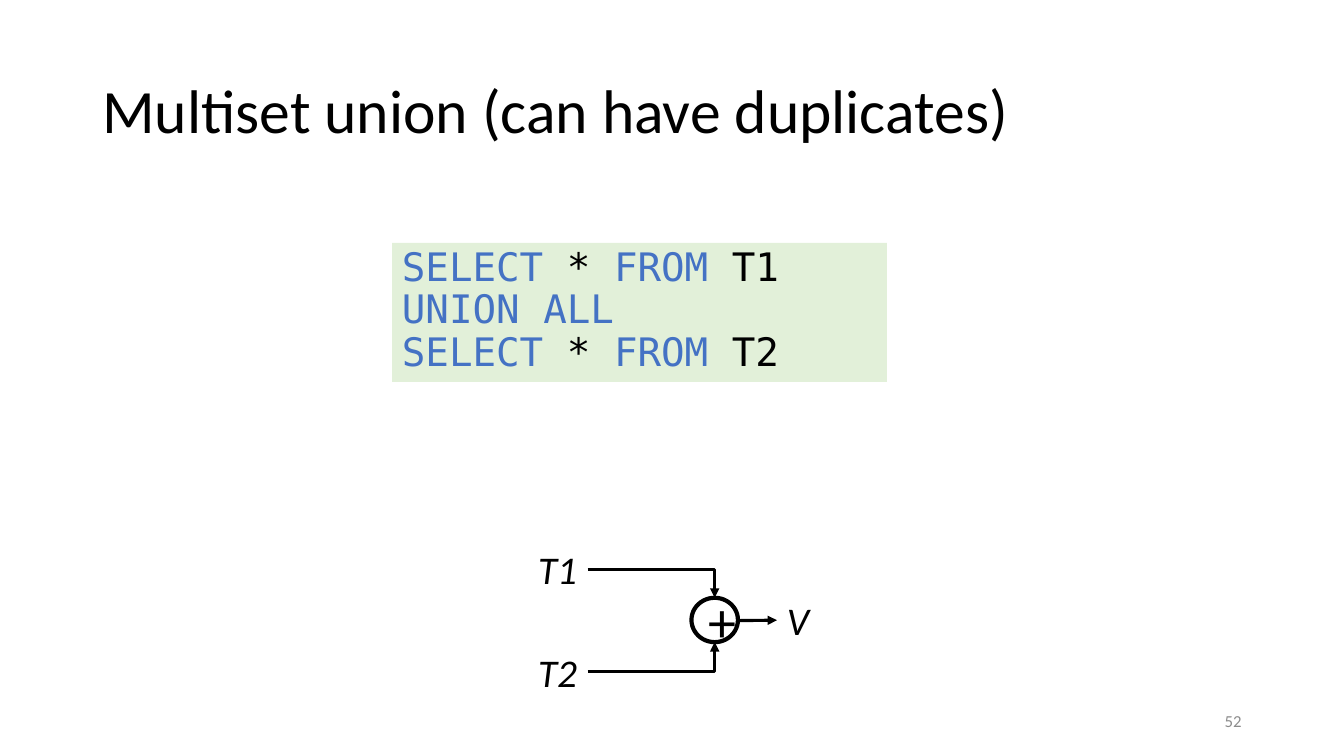
from lxml import etree
from pptx import Presentation
from pptx.dml.color import RGBColor
from pptx.enum.shapes import MSO_CONNECTOR, MSO_SHAPE
from pptx.enum.text import MSO_ANCHOR, PP_ALIGN
from pptx.oxml.ns import qn
from pptx.util import Pt

BLACK = RGBColor(0x00, 0x00, 0x00)
WHITE = RGBColor(0xFF, 0xFF, 0xFF)
GREY = RGBColor(0x8C, 0x8C, 0x8C)
KEYWORD_BLUE = RGBColor(0x44, 0x72, 0xC4)
CODE_GREEN = RGBColor(0xE2, 0xF0, 0xD9)
BODY_FONT = "Calibri"
CODE_FONT = "DejaVu Sans Mono"
STRAIGHT, ELBOW = MSO_CONNECTOR.STRAIGHT, MSO_CONNECTOR.ELBOW
OVAL, RECTANGLE = MSO_SHAPE.OVAL, MSO_SHAPE.RECTANGLE
TOP, MIDDLE = MSO_ANCHOR.TOP, MSO_ANCHOR.MIDDLE
LEFT, CENTER, RIGHT = PP_ALIGN.LEFT, PP_ALIGN.CENTER, PP_ALIGN.RIGHT

QUERY = [
    [("SELECT", KEYWORD_BLUE), (" * ", BLACK), ("FROM", KEYWORD_BLUE), (" T1", BLACK)],
    [("UNION ALL", KEYWORD_BLUE)],
    [("SELECT", KEYWORD_BLUE), (" * ", BLACK), ("FROM", KEYWORD_BLUE), (" T2", BLACK)],
]
INPUT_LEFT, INPUT_RIGHT = 377.3, 419.8
SUM_LEFT, SUM_TOP, SUM_WIDTH, SUM_HEIGHT = 493.9, 427, 33.2, 31.7
SUM_X = SUM_LEFT + SUM_WIDTH / 2


def add_run(paragraph, text, size, color, font=BODY_FONT, italic=False):
    """Append one formatted run to a paragraph."""
    run = paragraph.add_run()
    run.text = text
    run.font.name = font
    run.font.size = Pt(size)
    run.font.italic = italic
    run.font.color.rgb = color


def add_label(slide, text, box, size, color=BLACK, anchor=TOP, align=LEFT,
              wrap=True, italic=False, spacing=1.0):
    """Add a text box holding a single run."""
    frame = slide.shapes.add_textbox(*map(Pt, box)).text_frame
    frame.word_wrap = wrap
    frame.vertical_anchor = anchor
    paragraph = frame.paragraphs[0]
    paragraph.alignment = align
    paragraph.line_spacing = spacing
    add_run(paragraph, text, size, color, italic=italic)


def add_filled_shape(slide, kind, box, fill):
    """Add a borderless preset shape without shadow."""
    shape = slide.shapes.add_shape(kind, *map(Pt, box))
    shape.shadow.inherit = False
    shape.fill.solid()
    shape.fill.fore_color.rgb = fill
    shape.line.fill.background()
    return shape


def add_query(slide, box, lines):
    """Add the SQL panel with coloured keywords."""
    frame = add_filled_shape(slide, RECTANGLE, box, CODE_GREEN).text_frame
    frame.word_wrap = True
    frame.vertical_anchor = TOP
    paragraph = frame.paragraphs[0]
    paragraph.alignment = LEFT
    paragraph.line_spacing = 0.9
    for index, line in enumerate(lines):
        if index:
            paragraph.add_line_break()
        for text, color in line:
            add_run(paragraph, text, 28, color, CODE_FONT)


def add_sum_node(slide):
    """Add the circled plus that joins both inputs."""
    node = add_filled_shape(slide, OVAL, (SUM_LEFT, SUM_TOP, SUM_WIDTH, SUM_HEIGHT), WHITE)
    node.line.color.rgb = BLACK
    node.line.width = Pt(3)
    node.text_frame.vertical_anchor = MIDDLE
    paragraph = node.text_frame.paragraphs[0]
    paragraph.alignment = CENTER
    add_run(paragraph, "+", 40, BLACK)


def add_arrow(slide, kind, start, end):
    """Add a straight or single-bend arrow from start to end."""
    arrow = slide.shapes.add_connector(kind, *map(Pt, start + end))
    arrow.line.color.rgb = BLACK
    arrow.line.width = Pt(2.25)
    properties = arrow._element.spPr
    if kind == ELBOW:
        properties.find(qn("a:prstGeom")).set("prst", "bentConnector2")
    etree.SubElement(properties.find(qn("a:ln")), qn("a:tailEnd"), type="triangle")
    etree.SubElement(properties, qn("a:effectLst"))


def add_input(slide, name, label_top, line_y, node_y):
    """Add an input relation and its bent arrow into the sum node."""
    box = (INPUT_LEFT, label_top, INPUT_RIGHT - INPUT_LEFT, 41)
    add_label(slide, name, box, 28, wrap=False, italic=True)
    add_arrow(slide, ELBOW, (INPUT_RIGHT, line_y), (SUM_X, node_y))


def main():
    """Build and save the multiset union slide."""
    presentation = Presentation()
    presentation.slide_width, presentation.slide_height = Pt(960), Pt(540)
    slide = presentation.slides.add_slide(presentation.slide_layouts[6])

    add_label(slide, "Multiset union (can have duplicates)", (66, 28.8, 828, 104.4), 44,
              anchor=MIDDLE, spacing=0.9)
    add_query(slide, (280, 173.4, 353.5, 99.4), QUERY)
    add_label(slide, "52", (863.3, 500.5, 30.7, 28.8), 12, GREY, MIDDLE, RIGHT)

    add_sum_node(slide)
    add_input(slide, "T1", 386, 406.5, SUM_TOP)
    add_input(slide, "T2", 459.4, 479.9, SUM_TOP + SUM_HEIGHT)
    add_label(slide, "V", (555, 422.6, 30, 41), 28, wrap=False, italic=True)
    add_arrow(slide, STRAIGHT, (SUM_LEFT + SUM_WIDTH, 443.3), (555, 443))

    presentation.save("out.pptx")


if __name__ == "__main__":
    main()
